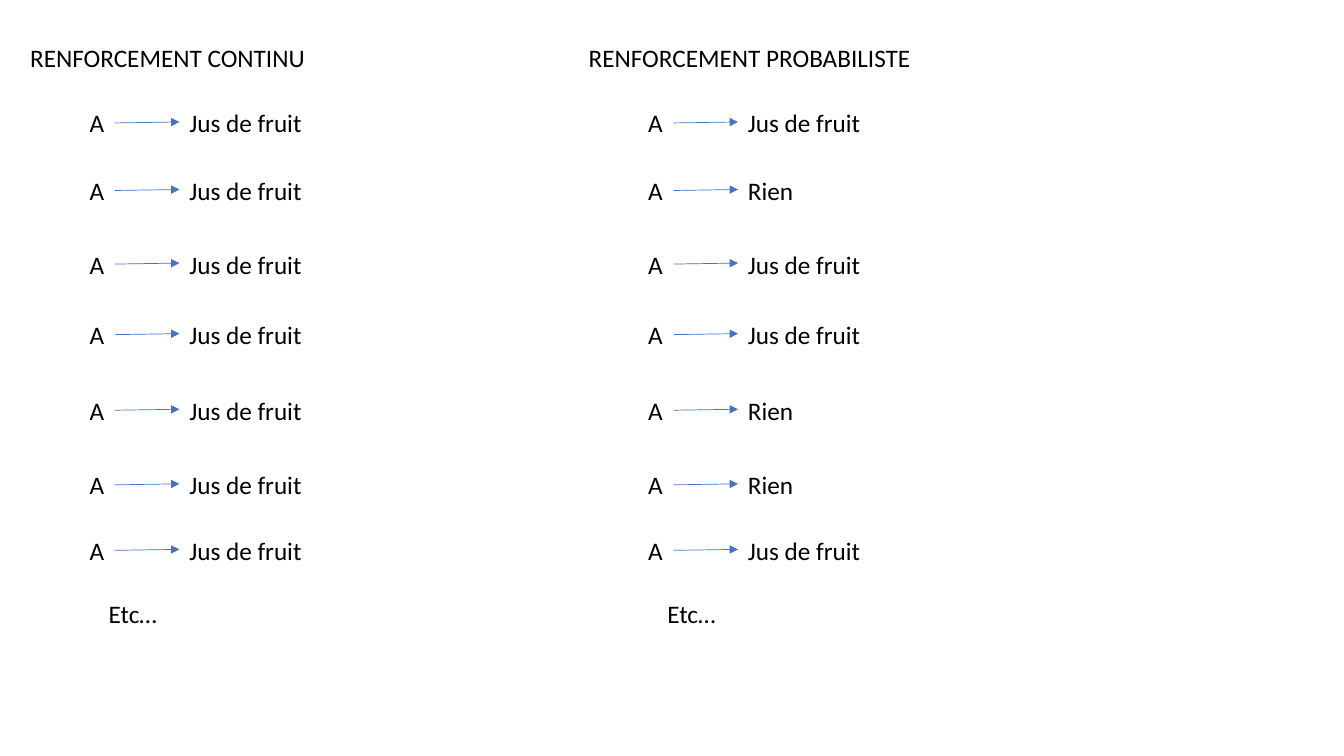
from pptx import Presentation
from pptx.dml.color import RGBColor
from pptx.enum.shapes import MSO_CONNECTOR
from pptx.enum.text import MSO_AUTO_SIZE
from pptx.oxml.ns import qn
from pptx.util import Inches, Pt
from lxml.etree import SubElement

BLACK = RGBColor(0x00, 0x00, 0x00)
BLUE = RGBColor(0x44, 0x72, 0xC4)
FONT = "Calibri"
TEXT_HEIGHT = 0.4
JUICE, NOTHING = "Jus de fruit", "Rien"
OUTCOME_WIDTHS = {JUICE: 1.33, NOTHING: 0.66}
TRIAL_TOPS = [1.02, 1.69, 2.42, 3.12, 3.87, 4.61, 5.26]
SCHEDULES = [
    (0.2, "RENFORCEMENT CONTINU", 2.95, [JUICE] * len(TRIAL_TOPS)),
    (5.74, "RENFORCEMENT PROBABILISTE", 3.42,
     [JUICE, NOTHING, JUICE, JUICE, NOTHING, NOTHING, JUICE]),
]


def add_text(s, text, left, top, width):
    sp = s.shapes.add_textbox(Inches(left), Inches(top), Inches(width), Inches(TEXT_HEIGHT))
    tf = sp.text_frame
    tf.word_wrap = False
    tf.auto_size = MSO_AUTO_SIZE.SHAPE_TO_FIT_TEXT
    r = tf.paragraphs[0].add_run()
    r.text = text
    r.font.name = FONT
    r.font.size = Pt(18)
    r.font.color.rgb = BLACK
    return sp


def add_arrow(s, stimulus, end_x, end_y):
    arrow = s.shapes.add_connector(
        MSO_CONNECTOR.STRAIGHT, stimulus.left + stimulus.width,
        stimulus.top + stimulus.height // 2, Inches(end_x), Inches(end_y))
    arrow.begin_connect(stimulus, 3)
    arrow.line.color.rgb = BLUE
    arrow.line.width = Pt(0.5)
    SubElement(arrow.line._get_or_add_ln(), qn("a:tailEnd"), type="triangle")
    SubElement(arrow._element.spPr, qn("a:effectLst"))


def add_trial(s, left, top, outcome):
    stimulus = add_text(s, "A", left, top, 0.35)
    add_arrow(s, stimulus, left + 0.99, top + 0.19)
    add_text(s, outcome, left + 0.99, top, OUTCOME_WIDTHS[outcome])


def add_schedule(s, left, title, title_width, outcomes):
    add_text(s, title, left, 0.37, title_width)
    for top, outcome in zip(TRIAL_TOPS, outcomes):
        add_trial(s, left + 0.59, top, outcome)
    add_text(s, "Etc…", left + 0.78, 5.89, 0.7)


def main():
    prs = Presentation()
    prs.slide_width = Inches(13.33)
    prs.slide_height = Inches(7.5)
    s = prs.slides.add_slide(prs.slide_layouts[6])
    for schedule in SCHEDULES:
        add_schedule(s, *schedule)
    prs.save("out.pptx")


if __name__ == "__main__":
    main()
